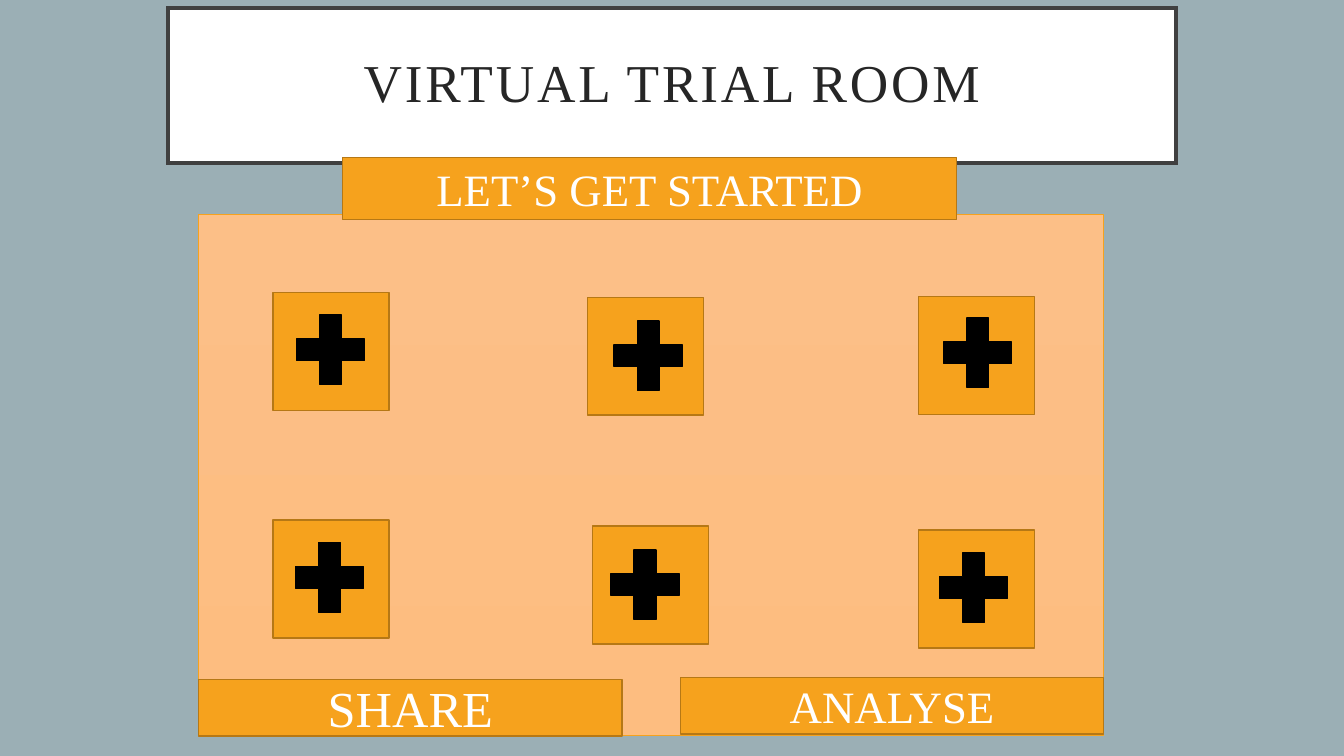
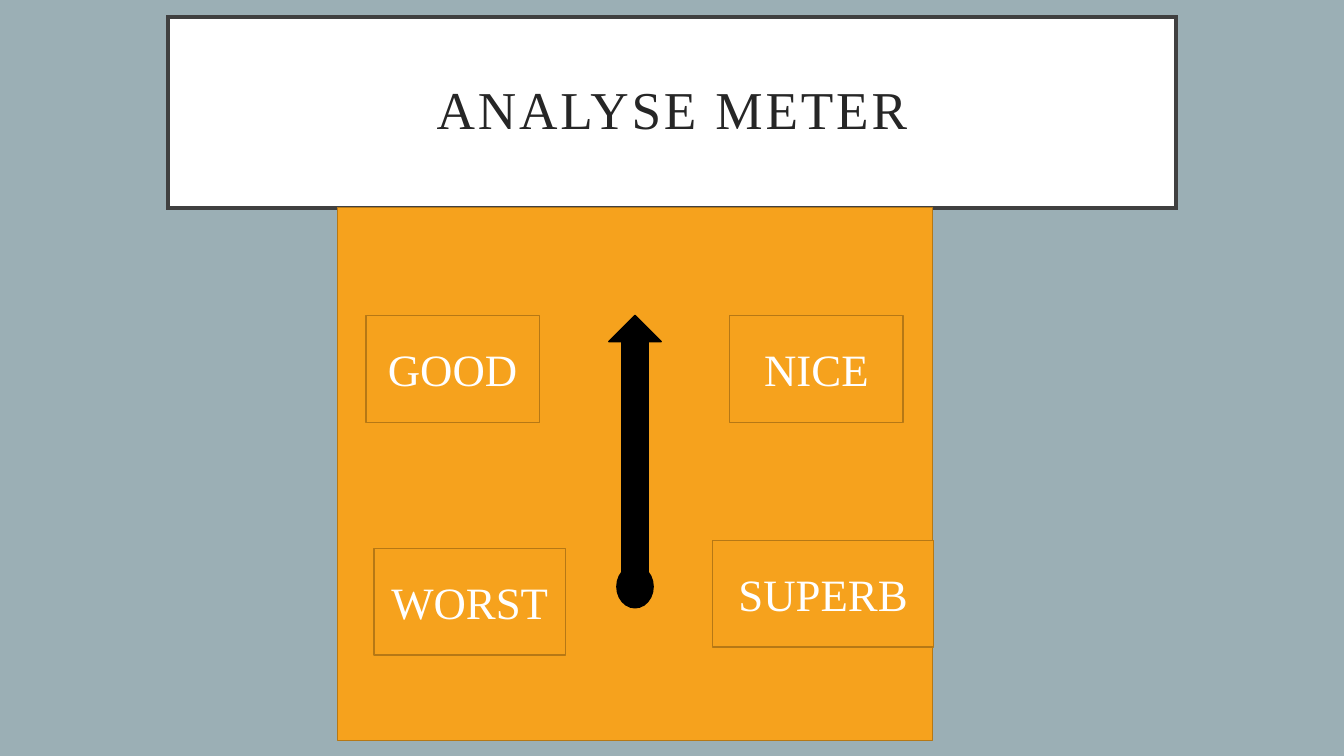
"""Builds the two screens of a virtual trial room: the room and its analyse meter."""
from lxml.etree import SubElement
from pptx import Presentation
from pptx.dml.color import RGBColor
from pptx.enum.shapes import MSO_SHAPE
from pptx.enum.text import MSO_ANCHOR, PP_ALIGN
from pptx.oxml.ns import qn
from pptx.util import Inches, Pt

SAGE = RGBColor(0x9B, 0xAF, 0xB5)
WHITE = RGBColor(0xFF, 0xFF, 0xFF)
BLACK = RGBColor(0x00, 0x00, 0x00)
FRAME = RGBColor(0x40, 0x40, 0x40)
INK = RGBColor(0x26, 0x26, 0x26)
ORANGE = RGBColor(0xF6, 0xA2, 0x1D)
BROWN = RGBColor(0xB6, 0x78, 0x15)
PEACH_TOP = RGBColor(0xFC, 0xBF, 0x87)
PEACH_BOTTOM = RGBColor(0xFD, 0xBD, 0x80)

prs = Presentation()
prs.slide_width, prs.slide_height = Inches(13.33), Inches(7.5)
COL, ROW = prs.slide_width / 100, prs.slide_height / 100


def add_box(s, at, kind=MSO_SHAPE.RECTANGLE, fill=ORANGE, line=BROWN, weight=1,
            text="", size=32, color=WHITE):
    x, y, w, h = at
    sp = s.shapes.add_shape(kind, round(x * COL), round(y * ROW), round(w * COL), round(h * ROW))
    sp.shadow.inherit = False
    sp.fill.solid()
    sp.fill.fore_color.rgb = fill
    sp.line.color.rgb = line
    sp.line.width = Pt(weight)
    if text:
        tf = sp.text_frame
        tf.word_wrap = True
        tf.vertical_anchor = MSO_ANCHOR.MIDDLE
        p = tf.paragraphs[0]
        p.alignment = PP_ALIGN.CENTER
        r = p.add_run()
        r.text = text
        r.font.color.rgb = color
        for name, value in {"name": "Times New Roman", "size": Pt(size)}.items():
            setattr(r.font, name, value)
    return sp


def add_titled_slide(title, top, height):
    s = prs.slides.add_slide(prs.slide_layouts[6])
    s.background.fill.solid()
    s.background.fill.fore_color.rgb = SAGE
    sp = add_box(s, (12.5, top, 75, height), fill=WHITE, line=FRAME, weight=3,
                 text=title, size=38, color=INK)
    SubElement(sp._element.spPr.find(qn("a:ln")), qn("a:miter"), lim="800000")
    tf = sp.text_frame
    margins = {"margin_left": 0.3, "margin_right": 0.3, "margin_top": 0.2, "margin_bottom": 0.2}
    for name, value in margins.items():
        setattr(tf, name, Inches(value))
    p = tf.paragraphs[0]
    p.line_spacing = 0.9
    p.runs[0].font._element.set("spc", "200")
    return s


s = add_titled_slide("VIRTUAL TRIAL ROOM", 1.07, 20.53)
room = add_box(s, (14.78, 28.4, 67.35, 68.93), line=ORANGE, weight=0.5)
room.fill.gradient()
room.fill.gradient_angle = 270
for stop, shade in zip(room.fill.gradient_stops, (PEACH_TOP, PEACH_BOTTOM)):
    stop.color.rgb = shade
add_box(s, (25.5, 20.8, 45.68, 8.27), text="LET’S GET STARTED")

TILES = [
    ((20.33, 38.67), (21.15, 40)),
    ((43.73, 39.33), (44.78, 40.8)),
    ((68.33, 39.2), (69.3, 40.4)),
    ((20.33, 68.8), (21.08, 70.13)),
    ((44.1, 69.6), (44.55, 71.07)),
    ((68.33, 70.13), (69, 71.47)),
]
for tile, plus in TILES:
    add_box(s, (*tile, 8.63, 15.6))
    add_box(s, (*plus, 6.9, 12.53), MSO_SHAPE.MATH_PLUS, BLACK, BLACK)

for text, x, y, size in [("SHARE", 14.78, 89.87, 36), ("ANALYSE", 50.63, 89.6, 32)]:
    add_box(s, (x, y, 31.5, 7.47), text=text, size=size)

s = add_titled_slide("ANALYSE METER", 2.27, 25.2)
add_box(s, (25.13, 27.47, 44.25, 70.53))
add_box(s, (45.3, 41.73, 3.9, 34.27), MSO_SHAPE.UP_ARROW, BLACK, BLACK)
add_box(s, (45.9, 74.8, 2.7, 5.6), MSO_SHAPE.FLOWCHART_CONNECTOR, BLACK, BLACK)

RATINGS = [
    ("GOOD", 27.23, 41.73, 12.9),
    ("NICE", 54.3, 41.73, 12.9),
    ("WORST", 27.83, 72.53, 14.25),
    ("SUPERB", 53.03, 71.47, 16.43),
]
for text, x, y, w in RATINGS:
    add_box(s, (x, y, w, 14.13), MSO_SHAPE.FLOWCHART_PROCESS, text=text)

prs.save("out.pptx")
